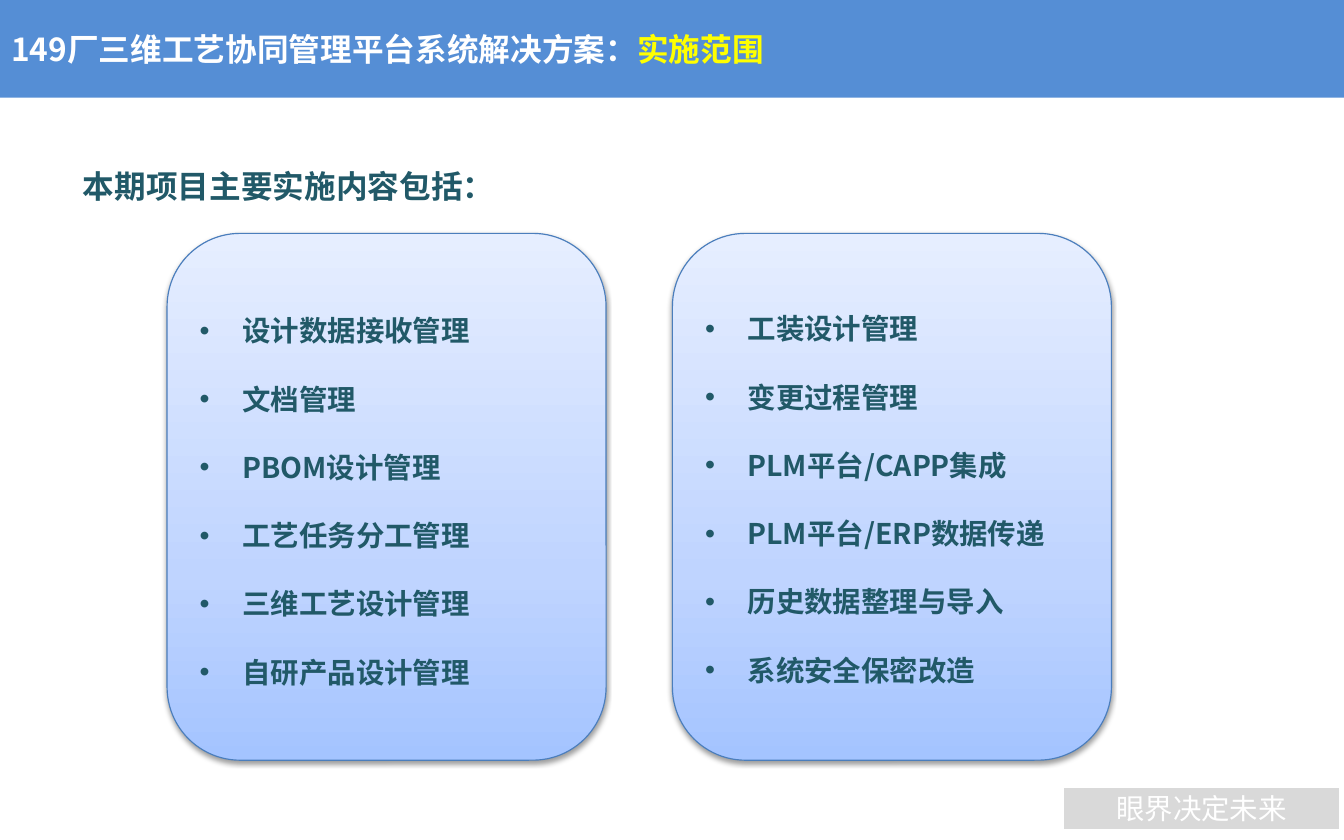
import copy

import pptx
import pptx.dml.color
import pptx.enum.shapes
import pptx.enum.text
import pptx.oxml
import pptx.oxml.ns
import pptx.util
from lxml import etree

Cm, Pt = pptx.util.Cm, pptx.util.Pt
qn = pptx.oxml.ns.qn
SHAPE = pptx.enum.shapes.MSO_SHAPE
ANCHOR = pptx.enum.text.MSO_ANCHOR
ALIGN = pptx.enum.text.PP_ALIGN

# Content
TITLE = [("149厂三维工艺协同管理平台系统解决方案：", "white"), ("实施范围", "accent")]
HEADING = "本期项目主要实施内容包括："
SLOGAN = "眼界决定未来"
SCOPE_PANELS = [
    ["设计数据接收管理", "文档管理", "PBOM设计管理",
     "工艺任务分工管理", "三维工艺设计管理", "自研产品设计管理"],
    ["工装设计管理", "变更过程管理", "PLM平台/CAPP集成",
     "PLM平台/ERP数据传递", "历史数据整理与导入", "系统安全保密改造"],
]

THEME = {
    "font": "Noto Sans CJK SC",
    "title_size": 20, "body_size": 18,
    "white": "FFFFFF", "accent": "FFFF00", "text": "215968",
    "band": "558ED5", "slogan": "D9D9D9", "panel_line": "4B7EBC",
    "panel_stops": [(0, "A4C4FF"), (0.35, "BFD4FF"), (1, "E6EEFF")],
}

# Layout, in centimetres
SLIDE_W, SLIDE_H = 30, 18.75
BAND_H = 2.18
PANEL_X, PANEL_Y, PANEL_W, PANEL_H = 3.73, 5.21, 9.8, 11.76
PANEL_STEP = 11.28
PANEL_BOTTOM_INSETS = [0.69, 0.78]
BULLET_INDENT = 0.95


def rgb(name):
    return pptx.dml.color.RGBColor.from_string(THEME.get(name, name))


def style_run(run, size, color, bold=True):
    run.font.size, run.font.bold = Pt(THEME[size]), bold
    run.font.name = THEME["font"]
    run.font.color.rgb = rgb(color)
    east_asian = etree.SubElement(run.font._element, qn("a:ea"))
    east_asian.set("typeface", THEME["font"])


def add_block(slide, kind, left, top, width, height, fill=None):
    block = slide.shapes.add_shape(kind, Cm(left), Cm(top), Cm(width), Cm(height))
    block.shadow.inherit = False
    if fill:
        block.fill.solid()
        block.fill.fore_color.rgb = rgb(fill)
    return block


def add_text(slide, left, top, width, height, anchor):
    box = slide.shapes.add_textbox(Cm(left), Cm(top), Cm(width), Cm(height))
    box.text_frame.word_wrap = True
    box.text_frame.vertical_anchor = anchor
    return box.text_frame.paragraphs[0]


def fill_gradient(panel):
    panel.fill.gradient()
    panel.fill.gradient_angle = 90
    stop_list = panel._element.spPr.find(".//" + qn("a:gsLst"))
    stop_list.append(copy.deepcopy(stop_list[-1]))
    for stop, (position, color) in zip(panel.fill.gradient_stops, THEME["panel_stops"]):
        stop.position, stop.color.rgb = position, rgb(color)


def add_shadow(panel):
    effects = panel._element.spPr.find(qn("a:effectLst"))
    effects.append(pptx.oxml.parse_xml(
        '<a:outerShdw xmlns:a="http://schemas.openxmlformats.org/drawingml/2006/main" '
        'blurRad="40000" dist="20000" dir="5400000" rotWithShape="0">'
        '<a:srgbClr val="000000"><a:alpha val="38000"/></a:srgbClr></a:outerShdw>'))


def add_bullet(paragraph):
    properties = paragraph._p.get_or_add_pPr()
    properties.set("marL", str(Cm(BULLET_INDENT)))
    properties.set("indent", str(-Cm(BULLET_INDENT)))
    etree.SubElement(properties, qn("a:buFont")).set("typeface", "Arial")
    etree.SubElement(properties, qn("a:buChar")).set("char", "•")


def add_panel(slide, left, items, bottom_inset):
    panel = add_block(slide, SHAPE.ROUNDED_RECTANGLE, left, PANEL_Y, PANEL_W, PANEL_H)
    fill_gradient(panel)
    panel.line.color.rgb = rgb("panel_line")
    panel.line.width = Pt(0.75)
    add_shadow(panel)
    frame = panel.text_frame
    frame.text = "\n".join(items)
    frame.word_wrap = True
    frame.vertical_anchor = ANCHOR.MIDDLE
    frame.margin_bottom = Cm(bottom_inset)
    for paragraph in frame.paragraphs:
        paragraph.alignment = ALIGN.LEFT
        paragraph.line_spacing = 2.0
        add_bullet(paragraph)
        style_run(paragraph.runs[0], "body_size", "text")


def main():
    deck = pptx.Presentation()
    deck.slide_width, deck.slide_height = Cm(SLIDE_W), Cm(SLIDE_H)
    slide = deck.slides.add_slide(deck.slide_layouts[6])

    # Title band
    band = add_block(slide, SHAPE.RECTANGLE, 0, 0, SLIDE_W, BAND_H, "band")
    band.line.fill.background()
    title = add_text(slide, 0, 0, SLIDE_W, BAND_H, ANCHOR.MIDDLE)
    for words, color in TITLE:
        run = title.add_run()
        run.text = words
        style_run(run, "title_size", color)

    # Slogan
    slogan = add_block(slide, SHAPE.RECTANGLE, 23.72, 17.55, 6.2, 1, "slogan")
    slogan.line.color.rgb = rgb("white")
    slogan.line.width = Pt(2)
    slogan.text_frame.text = SLOGAN
    slogan.text_frame.vertical_anchor = ANCHOR.MIDDLE
    slogan_line = slogan.text_frame.paragraphs[0]
    slogan_line.alignment = ALIGN.CENTER
    style_run(slogan_line.runs[0], "body_size", "white", bold=False)

    # Heading
    heading = add_text(slide, 1.6, 3.18, 26.7, 1.8, ANCHOR.TOP)
    heading.text = HEADING
    heading.line_spacing = 1.5
    style_run(heading.runs[0], "title_size", "text")

    # Scope panels
    for column, (items, inset) in enumerate(zip(SCOPE_PANELS, PANEL_BOTTOM_INSETS)):
        add_panel(slide, PANEL_X + column * PANEL_STEP, items, inset)

    deck.save("out.pptx")


if __name__ == "__main__":
    main()
